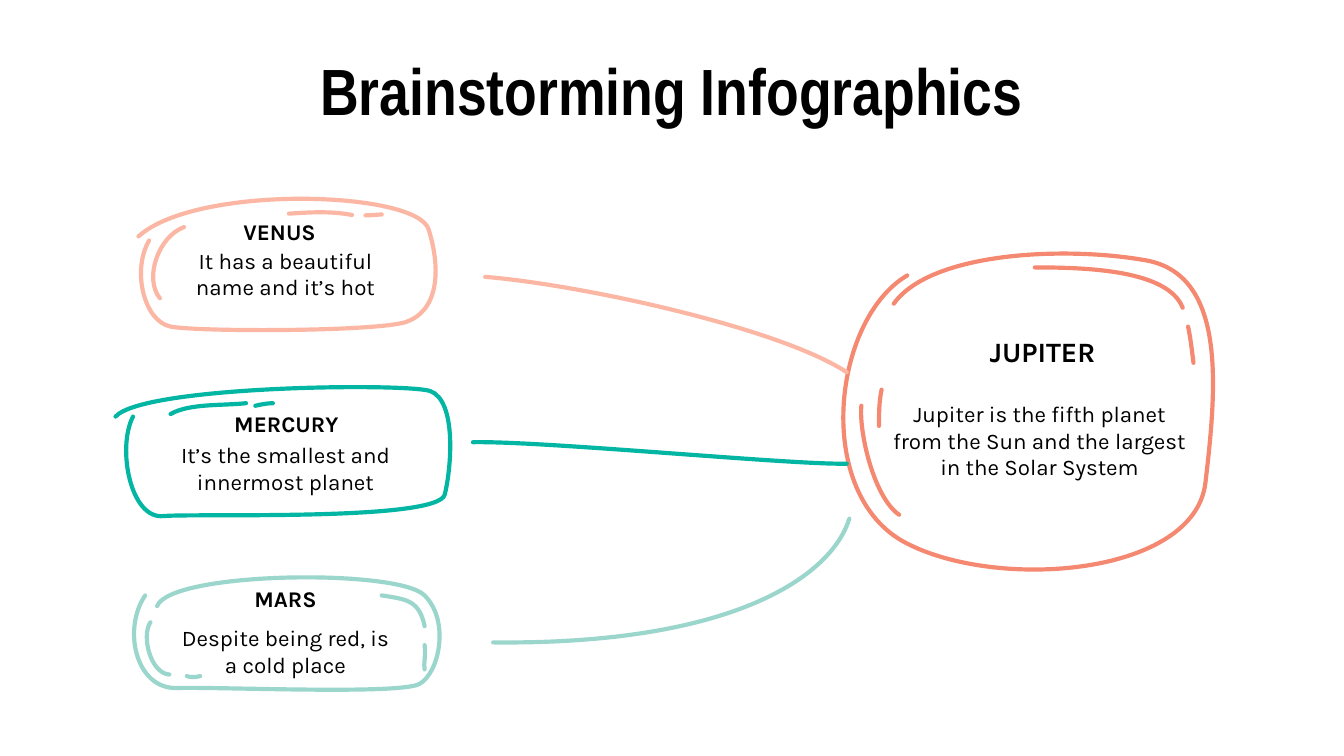
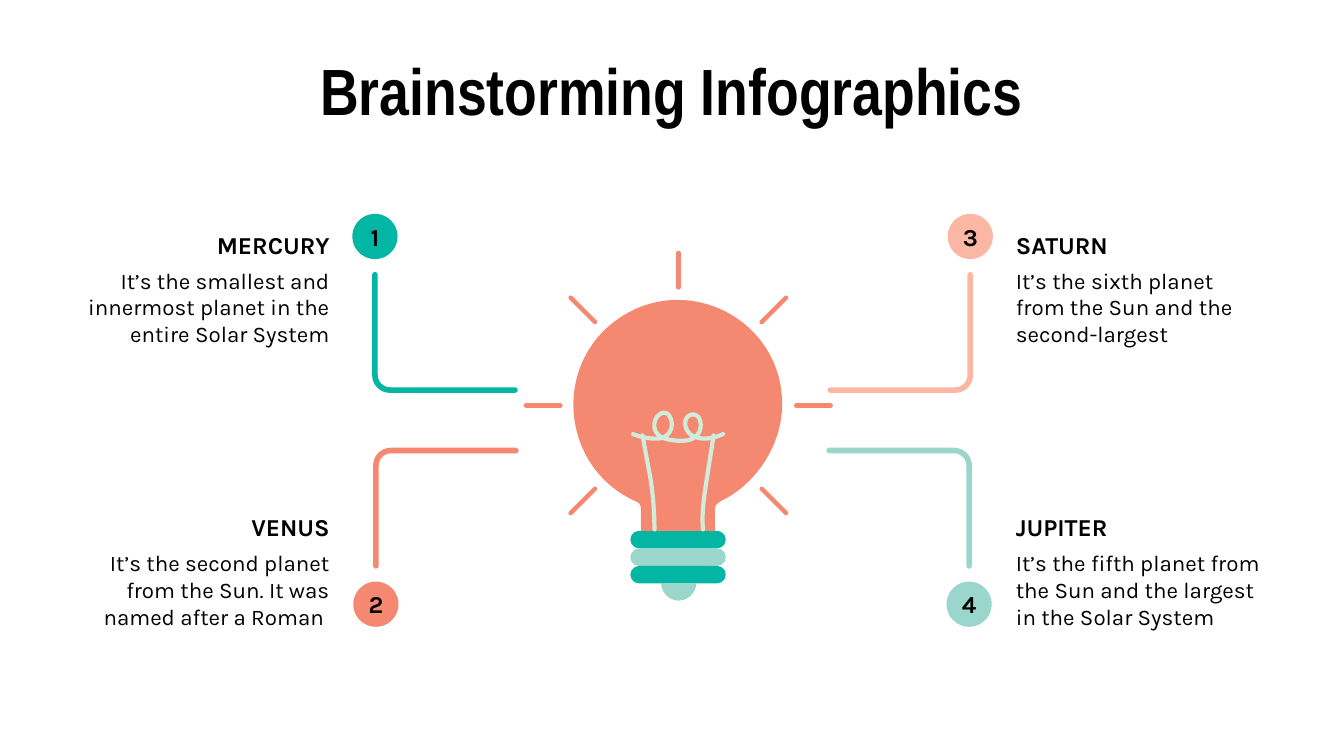
from math import cos, radians, sin

from pptx import Presentation
from pptx.dml.color import RGBColor as RGB
from pptx.enum.shapes import MSO_CONNECTOR as Link, MSO_SHAPE as Kind
from pptx.enum.text import MSO_ANCHOR as Anchor, PP_ALIGN as Align
from pptx.oxml import parse_xml
from pptx.oxml.ns import nsdecls, qn
from pptx.oxml.xmlchemy import OxmlElement as Element
from pptx.util import Pt

BLACK = RGB(0x00, 0x00, 0x00)
CORAL = RGB(0xF5, 0x88, 0x70)
PEACH = RGB(0xFB, 0xB7, 0xA4)
TEAL = RGB(0x03, 0xB5, 0xA3)
MINT = RGB(0x9A, 0xD6, 0xCC)
PALE = RGB(0xD1, 0xEC, 0xDB)
FONT = "Karla"


def write(slide, text, box, size=12, bold=False, align=Align.CENTER, font=FONT):
    frame = slide.shapes.add_textbox(*map(Pt, box)).text_frame
    frame.word_wrap = True
    frame.vertical_anchor = Anchor.MIDDLE
    frame.margin_left = frame.margin_right = Pt(7.2)
    frame.margin_top = frame.margin_bottom = Pt(7.2)
    para = frame.paragraphs[0]
    para.text = text
    para.alignment = align
    para.font.name = font
    para.font.size = Pt(size)
    para.font.bold = bold
    para.font.color.rgb = BLACK


def draw(slide, path, color, width=2.25):
    start, *steps = path
    pen = slide.shapes.build_freeform(*map(Pt, start))
    for step in steps:
        dots = zip(map(Pt, step[::2]), map(Pt, step[1::2]))
        pen.add_line_segments(list(dots), close=False)
    shape = pen.convert_to_shape()
    shape.shadow.inherit = False
    lines = shape.element.iter(qn("a:lnTo"))
    lines = iter(list(lines))
    for step in steps:
        group = [next(lines) for _ in step[::2]]
        if len(group) == 3:
            curve = Element("a:cubicBezTo")
            group[0].addprevious(curve)
            for line in group:
                curve.append(line[0])
                line.getparent().remove(line)
    if width:
        shape.fill.background()
        shape.line.color.rgb = color
        shape.line.width = Pt(width)
        edge = shape.element.spPr.find(qn("a:ln"))
        edge.set("cap", "rnd")
        edge.append(Element("a:round"))
    else:
        shape.fill.solid()
        shape.fill.fore_color.rgb = color
        shape.line.fill.background()


deck = Presentation()
deck.slide_width = Pt(720)
deck.slide_height = Pt(405)
blank = deck.slide_layouts[6]
bubbles, bulb = [deck.slides.add_slide(blank) for _ in range(2)]
for slide in (bubbles, bulb):
    write(slide, "Brainstorming Infographics", (24.5, 26.6, 671, 42.5),
          35, True, font="Arial Narrow")

strokes = [
    (CORAL, [
        [(486, 147.6), (445.7, 171.4, 435.6, 265, 485.3, 290.9),
         (535, 316.8, 640.1, 308.2, 645.8, 258.5),
         (651.6, 208.8, 657.4, 148.3, 614.9, 139.7),
         (572.4, 131.8, 499, 134.6, 478.8, 162.7)],
        [(554.4, 143.3), (582.5, 143.3, 625.7, 144.7, 633.6, 164.9)],
        [(636.5, 175), (637.9, 181.4, 638.6, 187.9, 639.4, 194.4)],
        [(461.5, 217.4), (460.1, 231.1, 468, 266.4, 481.7, 275.8)],
        [(472.3, 208.8), (470.9, 215.3, 470.9, 221.8, 470.9, 228.2)],
    ]),
    (PEACH, [
        [(453.6, 199.4), (417.6, 175.7, 311.8, 152.6, 259.9, 148.3)],
        [(79.9, 128.9), (70.6, 144.7, 77, 172.1, 91.4, 175),
         (105.8, 177.8, 198, 177.8, 216.7, 172.8),
         (235.4, 167, 236.2, 144, 229.7, 123.1),
         (223.9, 102.2, 105.1, 98.6, 74.2, 126.7)],
        [(154.8, 114.5), (165.6, 113.8, 177.1, 113, 188.6, 115.2)],
        [(195.8, 115.4), (198.7, 115.4, 200.9, 115.2, 204.5, 114.9)],
        [(98.6, 121.7), (85, 126.7, 77, 149, 85.7, 159.8)],
    ]),
    (TEAL, [
        [(253.4, 236.9), (291.6, 236.2, 424.1, 249.1, 453.6, 248.4)],
        [(71.3, 223.2), (62.6, 239.8, 69.8, 278.6, 87.8, 276.5),
         (105.8, 275, 234.7, 279.4, 238.3, 265),
         (241.9, 250.6, 244.8, 214.6, 230.4, 209.5),
         (216.7, 205.2, 77, 206.6, 61.9, 223.2)],
        [(91.4, 221.8), (101.5, 216, 119.5, 217.4, 131.8, 216)],
        [(136.8, 217.4), (139.7, 216.7, 143.3, 216, 146.2, 216)],
    ]),
    (MINT, [
        [(455, 277.9), (445.7, 308.2, 393.8, 345.6, 264.2, 344.2)],
        [(77.8, 319), (65.5, 337, 72.7, 369.4, 95, 368.6),
         (117.4, 367.9, 213.1, 372.2, 224.6, 366.5),
         (235.4, 360.7, 241.2, 332.6, 227.5, 319),
         (213.8, 304.6, 91.4, 306, 84.2, 324.7)],
        [(80.6, 333.4), (75.6, 340.6, 80.6, 360.7, 90.7, 361.4)],
        [(100.1, 362.2), (102.2, 362.9, 104.4, 362.9, 107.3, 362.2)],
        [(204.5, 319), (218.2, 321.1, 224.6, 321.8, 227.5, 335.5)],
        [(227.5, 345.6), (228.2, 351.4, 226.8, 355.7, 227.5, 358.6)],
    ]),
]
for color, paths in strokes:
    for path in paths:
        draw(bubbles, path, color)

planets = [
    ("JUPITER", 15, (507.4, 170.6, 102.2, 35.3),
     "Jupiter is the fifth planet from the Sun and the largest in the Solar System",
     (470.9, 193.7, 172.1, 84.2)),
    ("VENUS", 12, (89.3, 110.9, 121, 26.6),
     "It has a beautiful name and it’s hot", (89.3, 128.2, 127.4, 36.7)),
    ("MERCURY", 12, (100.1, 213.1, 106.6, 27.4),
     "It’s the smallest and innermost planet", (76.3, 229.7, 153.4, 42.5)),
    ("MARS", 12, (95, 307.4, 115.9, 26.6),
     "Despite being red, is a cold place", (89.3, 325.4, 127.4, 46.8)),
]
for name, size, head, text, body in planets:
    write(bubbles, name, head, size, True)
    write(bubbles, text, body)

notes = [
    ("MERCURY", "It’s the smallest and innermost planet in the entire Solar System",
     TEAL, 200.9, 1, -1),
    ("VENUS", "It’s the second planet from the Sun. It was named after a Roman ",
     CORAL, 201.4, 1, 1),
    ("SATURN", "It’s the sixth planet from the Sun and the second-largest",
     PEACH, 519.8, -1, -1),
    ("JUPITER", "It’s the fifth planet from the Sun and the largest in the Solar System",
     MINT, 519.2, -1, 1),
]
mid, rad = 225.2, 12.1
for num, (name, text, color, x, side, down) in enumerate(notes, 1):
    bend = mid + 16.2 * down
    turn = bend + 8 * down
    draw(bulb, [(x, mid + 78 * down), (x, turn),
                (x, bend + 3.6 * down, x + 3.6 * side, bend, x + 8 * side, bend),
                (x + 75 * side, bend)], color, 3)
    y = mid + 98.5 * down
    dot = bulb.shapes.add_shape(Kind.OVAL, Pt(x - rad), Pt(y - rad),
                                Pt(2 * rad), Pt(2 * rad))
    dot.shadow.inherit = False
    dot.fill.solid()
    dot.fill.fore_color.rgb = color
    dot.line.fill.background()
    frame = dot.text_frame
    frame.margin_left = frame.margin_right = 0
    frame.margin_top = frame.margin_bottom = 0
    frame.vertical_anchor = Anchor.MIDDLE
    para = frame.paragraphs[0]
    para.text = str(num)
    para.alignment = Align.CENTER
    para.font.name = FONT
    para.font.size = Pt(13)
    para.font.bold = True
    para.font.color.rgb = BLACK
    top = 117.4 if down < 0 else 268.6
    align = Align.RIGHT if side > 0 else Align.LEFT
    left, inner = (38.2, 97.9) if side > 0 else (537.1, 537.1)
    write(bulb, name, (inner, top, 85.7, 27.4), 13, True, align)
    write(bulb, text, (left, top + 17.2, 145.4, 59.8), align=align)

for i, color in enumerate((TEAL, MINT, TEAL)):
    ring = bulb.shapes.add_shape(Kind.ROUNDED_RECTANGLE, Pt(337.7),
                                 Pt(284.4 + 9.4 * i), Pt(51.1), Pt(9.4))
    ring.adjustments[0] = 0.5
    ring.shadow.inherit = False
    ring.fill.solid()
    ring.fill.fore_color.rgb = color
    ring.line.fill.background()

draw(bulb, [(373, 312.5), (373, 317.5, 368.6, 321.8, 363.6, 321.8),
            (358.6, 321.8, 354.2, 317.5, 354.2, 312.5)], MINT, 0)
draw(bulb, [(419, 217.4), (419.8, 172.8, 370.1, 145.4, 332.6, 169.9),
            (295.2, 194.4, 300.2, 250.6, 340.6, 268.6),
            (342.7, 269.3, 343.4, 270.7, 343.4, 272.9),
            (343.4, 284.4), (383, 284.4), (383, 272.9),
            (383, 270.7, 384.5, 269.3, 385.9, 268.6),
            (406.1, 259.2, 419, 236.9, 419, 217.4)], CORAL, 0)

for angle in (0, 45, 135, 180, 225, 270, 315):
    dx, dy = cos(radians(angle)), sin(radians(angle))
    ends = [Pt(p) for r in (63.2, 81.6) for p in (363.4 + r * dx, 217.2 + r * dy)]
    ray = bulb.shapes.add_connector(Link.STRAIGHT, *ends)
    ray.line.color.rgb = CORAL
    ray.line.width = Pt(2.4)
    props = ray.element.spPr
    props.find(qn("a:ln")).set("cap", "rnd")
    props.append(parse_xml(f"<a:effectLst {nsdecls('a')}/>"))

wires = [
    [(350.6, 283.7), (350.6, 274.3, 349.9, 265.7, 348.5, 256.3), (344.2, 233.3)],
    [(376.6, 283.7), (375.8, 274.3, 377.3, 265.7, 378.7, 256.3), (382.3, 233.3)],
    [(339.1, 232.6), (339.1, 232.6, 347.8, 236.2, 355, 234.7),
     (361.4, 231.8, 360.7, 224.6, 357.8, 221.8),
     (355, 219.6, 349.9, 223.2, 350.6, 229),
     (351.4, 234.7, 357.8, 236.2, 365.8, 236.2),
     (373, 236.2, 376.6, 231.1, 375.1, 225.4),
     (373.7, 219.6, 365.8, 221.8, 367.2, 228.2),
     (368.6, 235.4, 378, 236.9, 387.4, 232.6)],
]
for wire in wires:
    draw(bulb, wire, PALE)

deck.save("out.pptx")
